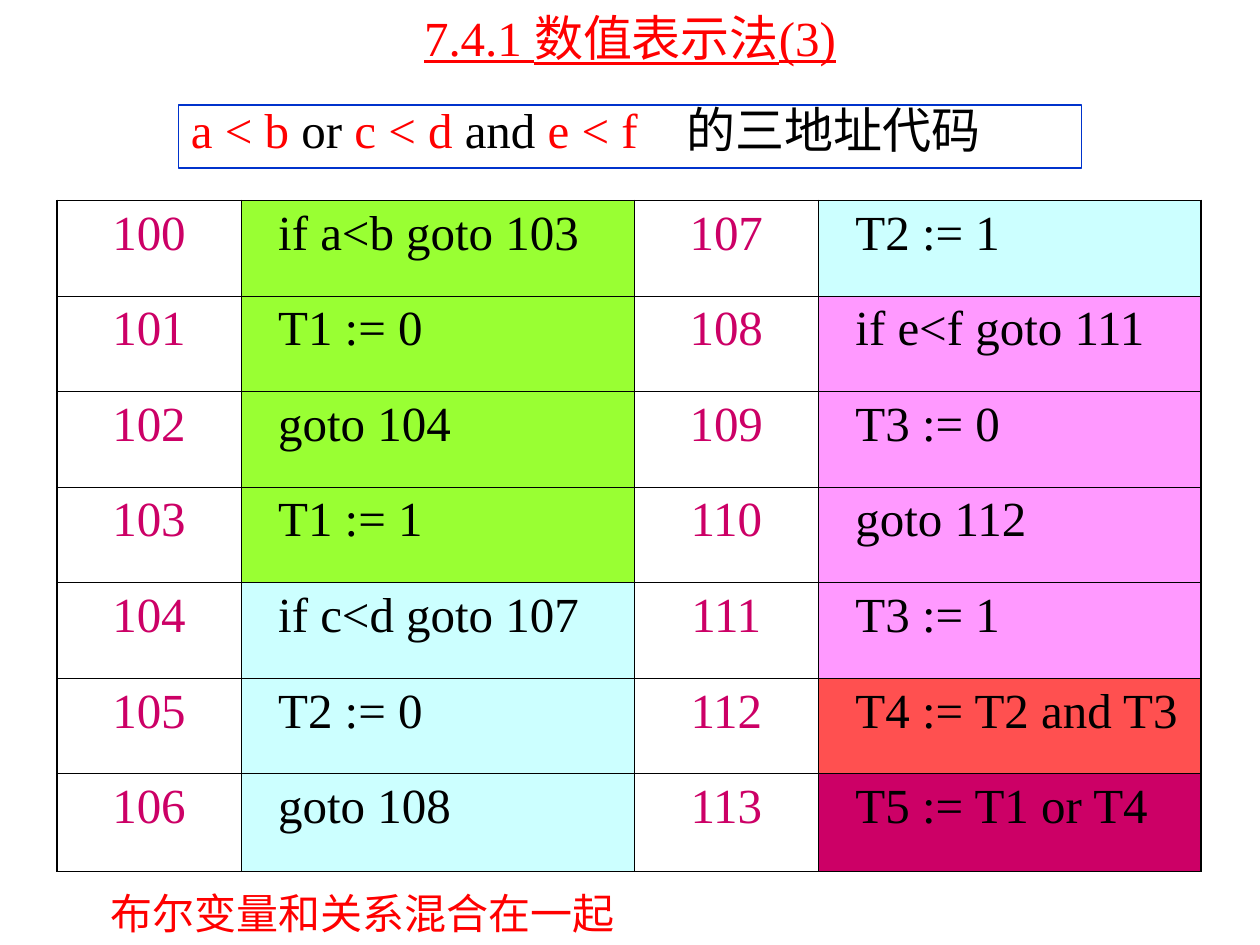
from dataclasses import dataclass

from lxml import etree
from pptx import Presentation
from pptx.dml.color import RGBColor
from pptx.enum.shapes import MSO_SHAPE
from pptx.enum.text import MSO_ANCHOR, MSO_AUTO_SIZE, PP_ALIGN
from pptx.oxml.ns import qn
from pptx.util import Pt

LEFT, CENTER = PP_ALIGN.LEFT, PP_ALIGN.CENTER
TOP, MIDDLE = MSO_ANCHOR.TOP, MSO_ANCHOR.MIDDLE
FIXED, GROW = MSO_AUTO_SIZE.NONE, MSO_AUTO_SIZE.SHAPE_TO_FIT_TEXT
RECTANGLE = MSO_SHAPE.RECTANGLE
TITLE_ONLY = 5


@dataclass(frozen=True)
class Theme:
    """Colours, font and type sizes of the slide."""
    font: str = "Times New Roman"
    large: int = 28
    note: int = 24
    red: str = "FF0000"
    black: str = "000000"
    blue: str = "0033CC"
    address: str = "CC0066"
    first: str = "99FF33"
    second: str = "CCFFFF"
    third: str = "FF99FF"
    conjunction: str = "FF5050"
    result: str = "CC0066"


class SlideBuilder:
    """Adds styled elements to one slide."""

    def __init__(self, page, theme):
        """Keep the slide and its style."""
        self.page = page
        self.theme = theme

    def style(self, span, color, size=None, underline=None):
        """Format one run."""
        span.font.name = self.theme.font
        span.font.size = Pt(size or self.theme.large)
        span.font.underline = underline
        span.font.color.rgb = RGBColor.from_string(color)

    def title(self, text, left, top, width, height):
        """Fill and place the title placeholder."""
        box = self.page.shapes.title
        box.left, box.top, box.width, box.height = map(Pt, (left, top, width, height))
        frame = box.text_frame
        frame.text = text
        frame.auto_size = FIXED
        frame.vertical_anchor = MIDDLE
        para = frame.paragraphs[0]
        para.alignment = CENTER
        self.style(para.runs[0], self.theme.red, underline=True)

    def expression(self, parts, tab, left, top, width, height):
        """Draw an outlined box with coloured runs and one tab stop."""
        box = self.page.shapes.add_shape(RECTANGLE, *map(Pt, (left, top, width, height)))
        box.shadow.inherit = False
        box.fill.background()
        box.line.color.rgb = RGBColor.from_string(self.theme.blue)
        box.line.width = Pt(0.75)
        box.text_frame.vertical_anchor = TOP
        para = box.text_frame.paragraphs[0]
        para.alignment = LEFT
        para.line_spacing = 0.8
        para.space_before = Pt(7)
        stops = etree.SubElement(para._p.get_or_add_pPr(), qn("a:tabLst"))
        etree.SubElement(stops, qn("a:tab"), pos=str(Pt(tab)), algn="l")
        for text, color in parts:
            span = para.add_run()
            span.text = text
            self.style(span, color)

    def note(self, text, left, top, width, height):
        """Add a single-line remark."""
        box = self.page.shapes.add_textbox(*map(Pt, (left, top, width, height)))
        frame = box.text_frame
        frame.text = text
        frame.word_wrap = False
        frame.auto_size = GROW
        self.style(frame.paragraphs[0].runs[0], self.theme.red, self.theme.note)

    def border(self, cell, side, width):
        """Draw one edge of a cell."""
        line = etree.SubElement(cell._tc.get_or_add_tcPr(), qn(f"a:ln{side}"), w=str(Pt(width)))
        fill = etree.SubElement(line, qn("a:solidFill"))
        etree.SubElement(fill, qn("a:srgbClr"), val=self.theme.black)

    def cell(self, cell, text, fill, edges):
        """Fill a cell; one without a fill holds an address."""
        cell.text = text
        for side, outer in edges.items():
            self.border(cell, side, 1.08 if outer else 0.45)
        para = cell.text_frame.paragraphs[0]
        para.space_before = Pt(7)
        if fill:
            cell.fill.solid()
            cell.fill.fore_color.rgb = RGBColor.from_string(fill)
            cell.margin_left = Pt(21.2)
            self.style(para.runs[0], self.theme.black)
        else:
            cell.fill.background()
            para.alignment = CENTER
            self.style(para.runs[0], self.theme.address)

    def code_table(self, code, start, left, top, widths, heights):
        """Lay numbered instructions out in pairs of columns."""
        rows, columns = len(heights), len(widths)
        frame = self.page.shapes.add_table(
            rows, columns, *map(Pt, (left, top, sum(widths), sum(heights))))
        table = frame.table
        table.first_row = table.horz_banding = False
        for column, width in zip(table.columns, widths):
            column.width = Pt(width)
        for row, height in zip(table.rows, heights):
            row.height = Pt(height)
        for index, (text, fill) in enumerate(code):
            pair, row = divmod(index, rows)
            for column, content, shade in ((2 * pair, str(start + index), None),
                                           (2 * pair + 1, text, fill)):
                edges = {"L": column == 0, "R": column == columns - 1,
                         "T": row == 0, "B": row == rows - 1}
                self.cell(table.cell(row, column), content, shade, edges)


def main():
    """Build the slide and save it."""
    theme = Theme()
    deck = Presentation()
    deck.slide_width, deck.slide_height = Pt(720), Pt(540)
    page = deck.slides.add_slide(deck.slide_layouts[TITLE_ONLY])
    builder = SlideBuilder(page, theme)
    builder.title("7.4.1 数值表示法(3)", 54, 0, 612, 42)
    builder.expression(
        [("a < b", theme.red), (" or ", theme.black), ("c < d", theme.red),
         (" and ", theme.black), ("e < f", theme.red), ("\t的三地址代码", theme.black)],
        283.5, 102, 60, 516, 36)
    blocks = [
        (theme.first, ["if a<b goto 103", "T1 := 0", "goto 104", "T1 := 1"]),
        (theme.second, ["if c<d goto 107", "T2 := 0", "goto 108", "T2 := 1"]),
        (theme.third, ["if e<f goto 111", "T3 := 0", "goto 112", "T3 := 1"]),
        (theme.conjunction, ["T4 := T2 and T3"]),
        (theme.result, ["T5 := T1 or T4"]),
    ]
    code = [(text, fill) for fill, lines in blocks for text in lines]
    builder.code_table(code, 100, 32.5, 114.5, [105.3, 224.6, 105.3, 218.6],
                       [54.6] * 6 + [56])
    builder.note("布尔变量和关系混合在一起", 56, 503.5, 304, 36)
    deck.save("out.pptx")


main()
